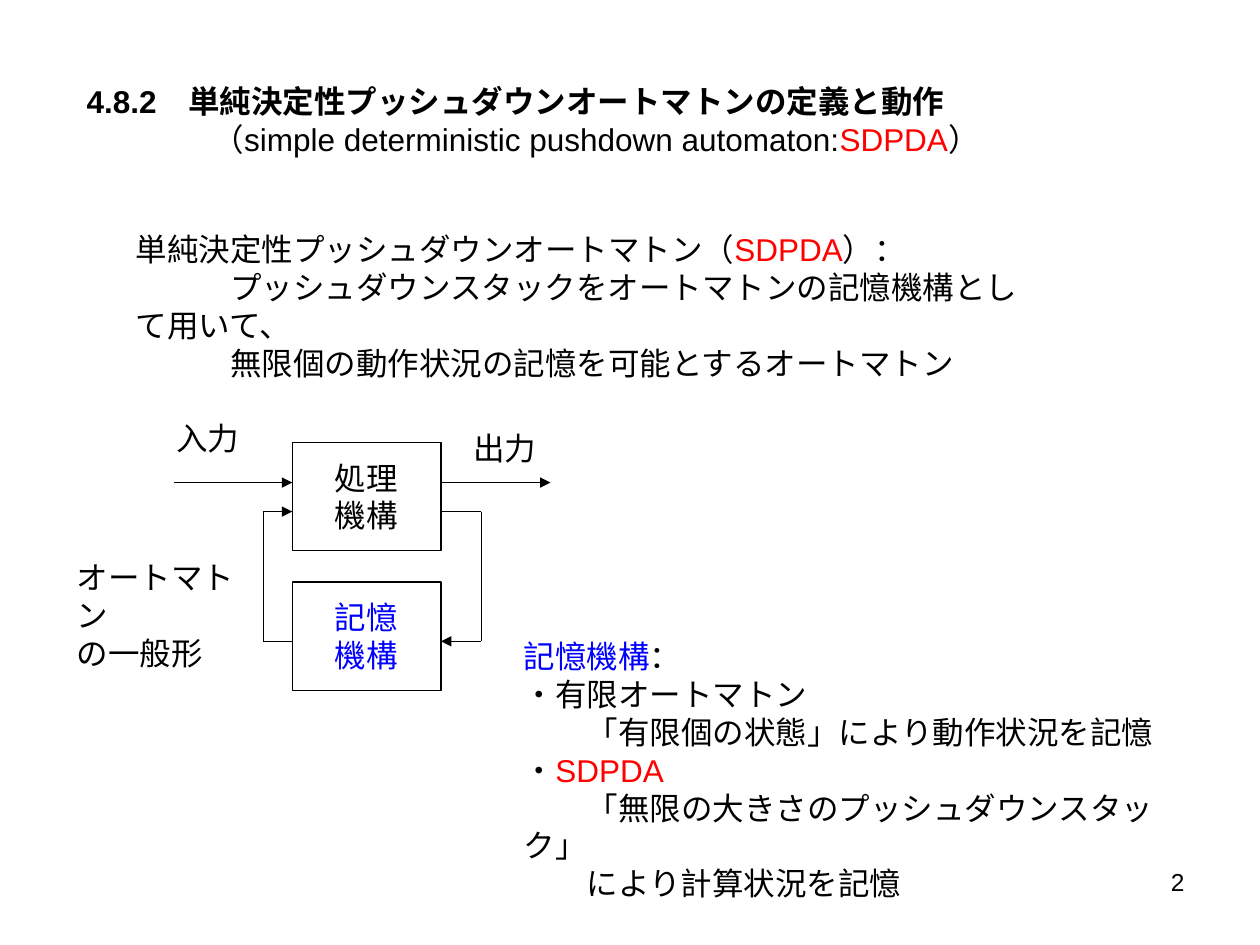
from lxml import etree
from pptx import Presentation
from pptx import util as u
from pptx.dml.color import RGBColor
from pptx.enum import shapes, text
from pptx.oxml.ns import qn

COLORS = {"black": "000000", "red": "FF0000", "blue": "0000FF"}
FONT = "Arial"
LINE_WIDTH = u.Pt(0.75)

# Diagram positions in inches
BOX_LEFT, BOX_RIGHT = 2.32, 3.5
BOX_HEIGHT = 0.86
PROCESS_TOP, MEMORY_TOP = 3.51, 4.62
IO_Y, LOOP_TOP, LOOP_BOTTOM = 3.83, 4.06, 5.09
LOOP_LEFT, LOOP_RIGHT = 2.09, 3.82


def color(name):
    """Return a palette colour."""
    return RGBColor.from_string(COLORS[name])


def add_text(page, place, lines, size=18, wrap=True, align=text.PP_ALIGN.LEFT):
    """Add a text box; each line is (first-line indent, runs of (words, colour, bold))."""
    box = page.shapes.add_textbox(*map(u.Inches, place))
    frame = box.text_frame
    frame.word_wrap = wrap
    for number, (indent, spans) in enumerate(lines):
        para = frame.add_paragraph() if number else frame.paragraphs[0]
        para.alignment = align
        if indent:
            properties = para._p.get_or_add_pPr()
            properties.set("marL", "0")
            properties.set("indent", str(u.Inches(indent)))
        for words, tint, bold in spans:
            span = para.add_run()
            span.text = words
            span.font.name = FONT
            span.font.size = u.Pt(size)
            span.font.bold = bold
            span.font.color.rgb = color(tint)


def plain(words, indent=0, tint="black"):
    """Return a line made of one regular run."""
    return indent, [(words, tint, False)]


def add_label(page, left, top, words, tint="black"):
    """Add a label two characters wide, one line per entry."""
    lines = [plain(line, tint=tint) for line in words]
    add_text(page, (left, top, 0.7, 0.1 + 0.3 * len(lines)), lines, wrap=False)


def add_unit(page, top, words, tint="black"):
    """Add an outlined box of the automaton with its name."""
    width = BOX_RIGHT - BOX_LEFT
    box = page.shapes.add_shape(
        shapes.MSO_SHAPE.RECTANGLE,
        *map(u.Inches, (BOX_LEFT, top, width, BOX_HEIGHT)))
    box.shadow.inherit = False
    box.fill.background()
    box.line.color.rgb = color("black")
    box.line.width = LINE_WIDTH
    add_label(page, BOX_LEFT + (width - 0.7) / 2, top + 0.08, words, tint)


def add_arrow(page, *points):
    """Join points with straight lines and put an arrowhead on the last one."""
    for start, end in zip(points, points[1:]):
        line = page.shapes.add_connector(
            shapes.MSO_CONNECTOR.STRAIGHT, *map(u.Inches, start + end))
        line.line.color.rgb = color("black")
        line.line.width = LINE_WIDTH
        etree.SubElement(line._element.spPr, qn("a:effectLst"))
    etree.SubElement(line.line._get_or_add_ln(), qn("a:tailEnd"), type="triangle")


def add_diagram(page):
    """Draw the general form of an automaton."""
    add_unit(page, PROCESS_TOP, ["処理", "機構"])
    add_unit(page, MEMORY_TOP, ["記憶", "機構"], "blue")
    add_arrow(page, (1.38, IO_Y), (BOX_LEFT, IO_Y))
    add_arrow(page, (BOX_RIGHT, IO_Y), (4.37, IO_Y))
    add_arrow(page, (BOX_RIGHT, LOOP_TOP), (LOOP_RIGHT, LOOP_TOP),
              (LOOP_RIGHT, LOOP_BOTTOM), (BOX_RIGHT, LOOP_BOTTOM))
    add_arrow(page, (BOX_LEFT, LOOP_BOTTOM), (LOOP_LEFT, LOOP_BOTTOM),
              (LOOP_LEFT, LOOP_TOP), (BOX_LEFT, LOOP_TOP))
    add_label(page, 1.3, 3.28, ["入力"])
    add_label(page, 3.66, 3.36, ["出力"])
    add_text(page, (0.51, 4.38, 1.45, 0.71),
             [plain("オートマトン"), plain("の一般形")])


def main():
    """Build the slide and save it."""
    deck = Presentation()
    deck.slide_width, deck.slide_height = u.Inches(10), u.Inches(7.5)
    page = deck.slides.add_slide(deck.slide_layouts[6])
    sdpda = ("SDPDA", "red", False)

    add_text(page, (0.59, 0.6, 8.66, 0.71), [
        (0, [("4.8.2　単純決定性プッシュダウンオートマトンの定義と動作", "black", True)]),
        (1, [("（simple deterministic pushdown automaton:", "black", False),
             sdpda, ("）", "black", False)]),
    ])
    add_text(page, (0.98, 1.78, 7.27, 1.01), [
        (0, [("単純決定性プッシュダウンオートマトン（", "black", False),
             sdpda, ("）：", "black", False)]),
        plain("プッシュダウンスタックをオートマトンの記憶機構として用いて、", 0.75),
        plain("無限個の動作状況の記憶を可能とするオートマトン", 0.75),
    ])
    add_diagram(page)
    add_text(page, (4.06, 5.01, 5.45, 1.92), [
        (0, [("記憶機構", "blue", False), ("：", "black", False)]),
        plain("・有限オートマトン"),
        plain("「有限個の状態」により動作状況を記憶", 0.5),
        (0, [("・", "black", False), sdpda]),
        plain("「無限の大きさのプッシュダウンスタック」", 0.5),
        plain("により計算状況を記憶", 0.5),
    ])
    add_text(page, (7.17, 6.83, 2.33, 0.52), [plain("2")], size=14,
             align=text.PP_ALIGN.RIGHT)
    deck.save("out.pptx")


main()
